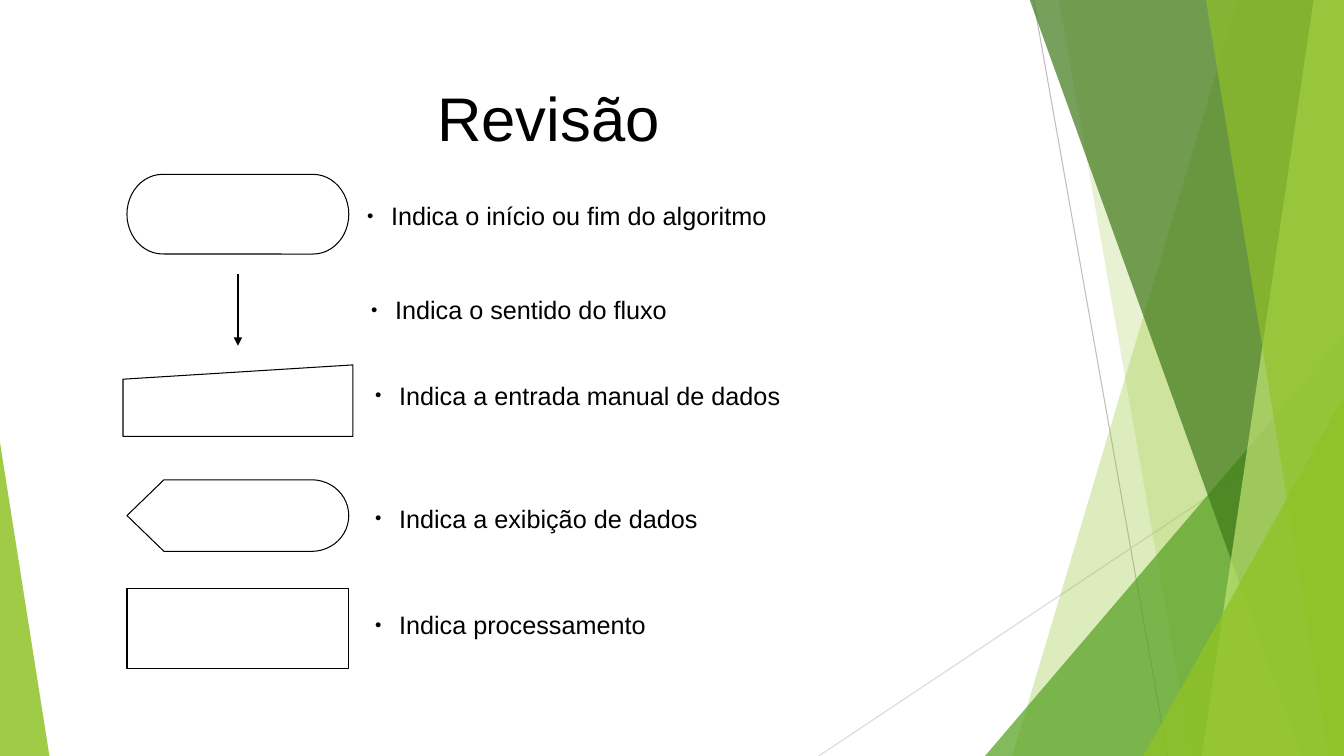
from dataclasses import dataclass

from lxml import etree
from pptx import Presentation
from pptx.dml.color import RGBColor
from pptx.enum.shapes import MSO_CONNECTOR, MSO_SHAPE
from pptx.enum.text import MSO_ANCHOR, PP_ALIGN
from pptx.oxml.ns import qn
from pptx.util import Inches, Pt

STRAIGHT = MSO_CONNECTOR.STRAIGHT
TERMINATOR = MSO_SHAPE.FLOWCHART_TERMINATOR
MANUAL_INPUT = MSO_SHAPE.FLOWCHART_MANUAL_INPUT
DISPLAY = MSO_SHAPE.FLOWCHART_DISPLAY
PROCESS = MSO_SHAPE.FLOWCHART_PROCESS
TOP = MSO_ANCHOR.TOP
LEFT, CENTER = PP_ALIGN.LEFT, PP_ALIGN.CENTER


@dataclass(frozen=True)
class Theme:
    font: str = "Arial"
    title_size: int = 44
    body_size: int = 18
    bullet_percent: int = 45
    hairline: float = 0
    ink: str = "000000"
    paper: str = "FFFFFF"
    line_dark: str = "BFBFBF"
    line_light: str = "D9D9D9"
    lime: str = "90C226"
    pale_lime: str = "C0E474"
    green: str = "54A021"
    deep_green: str = "3F7819"


THEME = Theme()
WIDTH, HEIGHT = 13.33, 7.5
EDGE = -0.01  # top of the facets, just above the slide

# Facets from back to front: colour, opacity in percent, corners
FACETS = [
    (THEME.lime, 30, [(12.28, EDGE), (WIDTH, EDGE), (WIDTH, HEIGHT), (10.04, HEIGHT)]),
    (THEME.lime, 20, [(10.5, EDGE), (WIDTH, EDGE), (WIDTH, HEIGHT), (11.82, HEIGHT)]),
    (THEME.green, 72, [(9.77, HEIGHT), (WIDTH, 3.33), (WIDTH, HEIGHT)]),
    (THEME.deep_green, 70, [(10.21, EDGE), (WIDTH, EDGE), (WIDTH, HEIGHT), (12.91, HEIGHT)]),
    (THEME.pale_lime, 70, [(13.03, EDGE), (WIDTH, EDGE), (WIDTH, HEIGHT), (11.92, HEIGHT)]),
    (THEME.lime, 65, [(11.96, EDGE), (WIDTH, EDGE), (WIDTH, HEIGHT), (13.18, HEIGHT)]),
    (THEME.lime, 80, [(11.34, HEIGHT), (WIDTH, 3.93), (WIDTH, HEIGHT)]),
    (THEME.lime, 85, [(0, HEIGHT), (0, 4.39), (0.49, HEIGHT)]),
]

# Flowchart symbols: preset, then left, top, width, height
SYMBOLS = [
    (TERMINATOR, (1.26, 1.73, 2.2, 0.79)),
    (MANUAL_INPUT, (1.22, 3.62, 2.28, 0.71)),
    (DISPLAY, (1.26, 4.76, 2.2, 0.71)),
    (PROCESS, (1.26, 5.84, 2.2, 0.79)),
]

# Meanings: left, top, text
MEANINGS = [
    (3.54, 1.94, "Indica o início ou fim do algoritmo"),
    (3.58, 2.87, "Indica o sentido do fluxo"),
    (3.62, 3.72, "Indica a entrada manual de dados"),
    (3.62, 4.94, "Indica a exibição de dados"),
    (3.62, 6, "Indica processamento"),
]


def rgb(color):
    return RGBColor.from_string(color)


def add_line(slide, start, end, color, width, arrow=False):
    points = [Inches(value) for value in (*start, *end)]
    line = slide.shapes.add_connector(STRAIGHT, *points)
    line.line.color.rgb = rgb(color)
    line.line.width = Pt(width)
    if arrow:
        etree.SubElement(line.line._get_or_add_ln(), qn("a:tailEnd"), type="triangle")
    etree.SubElement(line._element.spPr, qn("a:effectLst"))


def add_facet(slide, color, opacity, corners):
    start, *others = [(Inches(x), Inches(y)) for x, y in corners]
    builder = slide.shapes.build_freeform(*start)
    builder.add_line_segments(others, close=True)
    facet = builder.convert_to_shape()
    facet.shadow.inherit = False
    facet.line.fill.background()
    facet.fill.solid()
    facet.fill.fore_color.rgb = rgb(color)
    color_element = facet._element.spPr.find(".//" + qn("a:srgbClr"))
    etree.SubElement(color_element, qn("a:alpha"), val=str(opacity * 1000))


def add_symbol(slide, preset, box):
    symbol = slide.shapes.add_shape(preset, *[Inches(value) for value in box])
    symbol.shadow.inherit = False
    symbol.fill.solid()
    symbol.fill.fore_color.rgb = rgb(THEME.paper)
    symbol.line.color.rgb = rgb(THEME.ink)
    symbol.line.width = Pt(THEME.hairline)


def add_bullet(paragraph):
    properties = paragraph._p.get_or_add_pPr()
    indent = Inches(0.24)
    properties.set("marL", str(indent))
    properties.set("indent", str(-indent))
    bullet_color = etree.SubElement(properties, qn("a:buClr"))
    etree.SubElement(bullet_color, qn("a:srgbClr"), val=THEME.ink)
    etree.SubElement(properties, qn("a:buSzPct"), val=str(THEME.bullet_percent * 1000))
    etree.SubElement(properties, qn("a:buFont"), typeface=THEME.font)
    etree.SubElement(properties, qn("a:buChar"), char="●")


def add_text(slide, text, box, size=THEME.body_size, align=LEFT, margin_top=0.05, bullet=False):
    shape = slide.shapes.add_textbox(*[Inches(value) for value in box])
    frame = shape.text_frame
    frame.word_wrap = True
    frame.vertical_anchor = TOP
    frame.margin_top = Inches(margin_top)
    paragraph = frame.paragraphs[0]
    paragraph.alignment = align
    if bullet:
        add_bullet(paragraph)
    run = paragraph.add_run()
    run.text = text
    run.font.name = THEME.font
    run.font.size = Pt(size)
    run.font.color.rgb = rgb(THEME.ink)


def main():
    presentation = Presentation()
    presentation.slide_width = Inches(WIDTH)
    presentation.slide_height = Inches(HEIGHT)
    slide = presentation.slides.add_slide(presentation.slide_layouts[6])

    # Background decoration
    add_line(slide, (10.25, 0), (11.58, HEIGHT), THEME.line_dark, 0.75)
    add_line(slide, (WIDTH, 4.03), (8.12, HEIGHT), THEME.line_light, 0.75)
    for facet in FACETS:
        add_facet(slide, *facet)

    # Title
    add_text(slide, "Revisão", (0.74, 0.67, 9.4, 1.44), size=THEME.title_size,
             align=CENTER, margin_top=0.12)

    # Flowchart symbols and flow arrow
    for symbol in SYMBOLS:
        add_symbol(slide, *symbol)
    add_line(slide, (2.36, 2.72), (2.36, 3.43), THEME.ink, THEME.hairline, arrow=True)

    # Meanings
    for left, top, text in MEANINGS:
        add_text(slide, text, (left, top, 5.59, 0.38), bullet=True)

    presentation.save("out.pptx")


if __name__ == "__main__":
    main()
